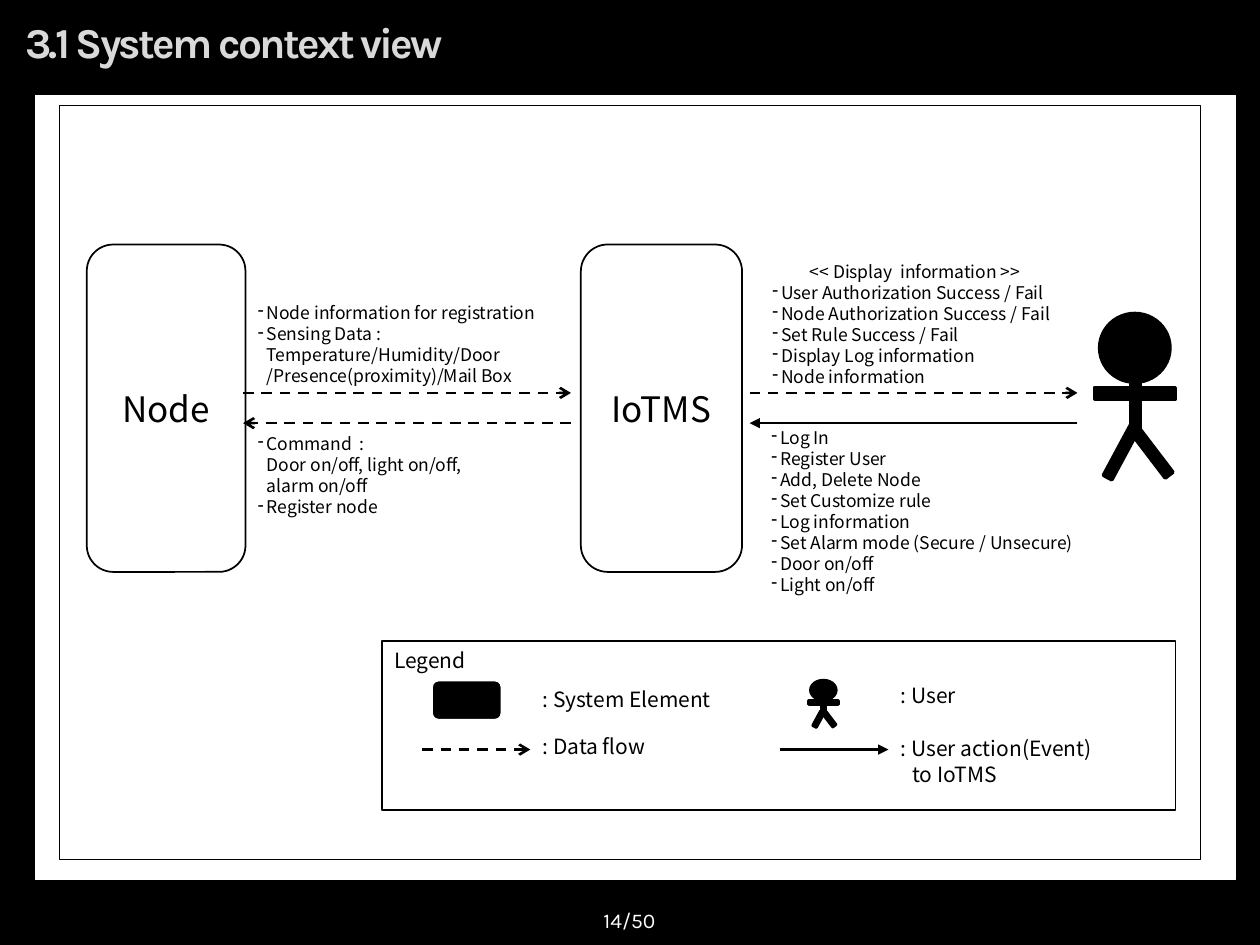
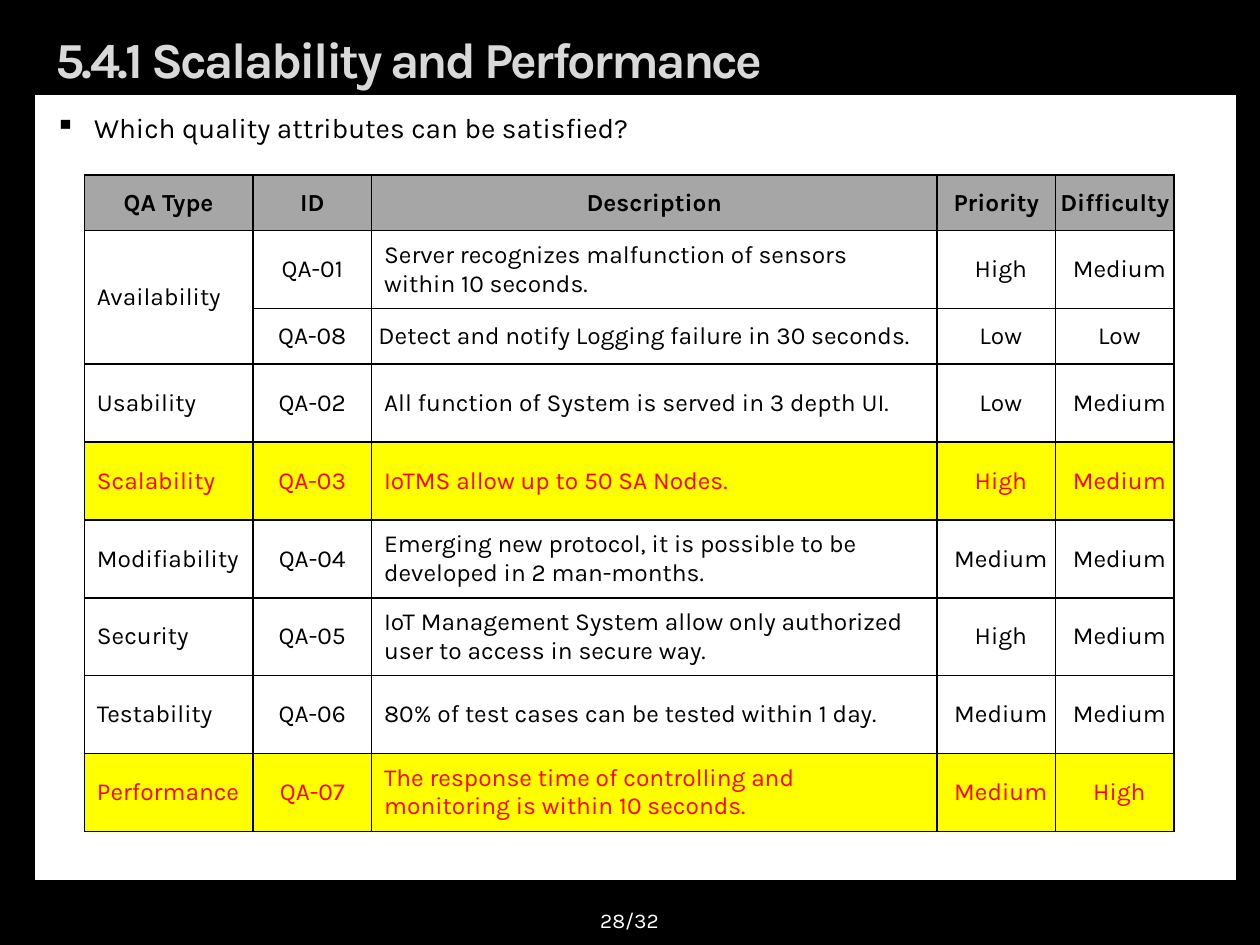
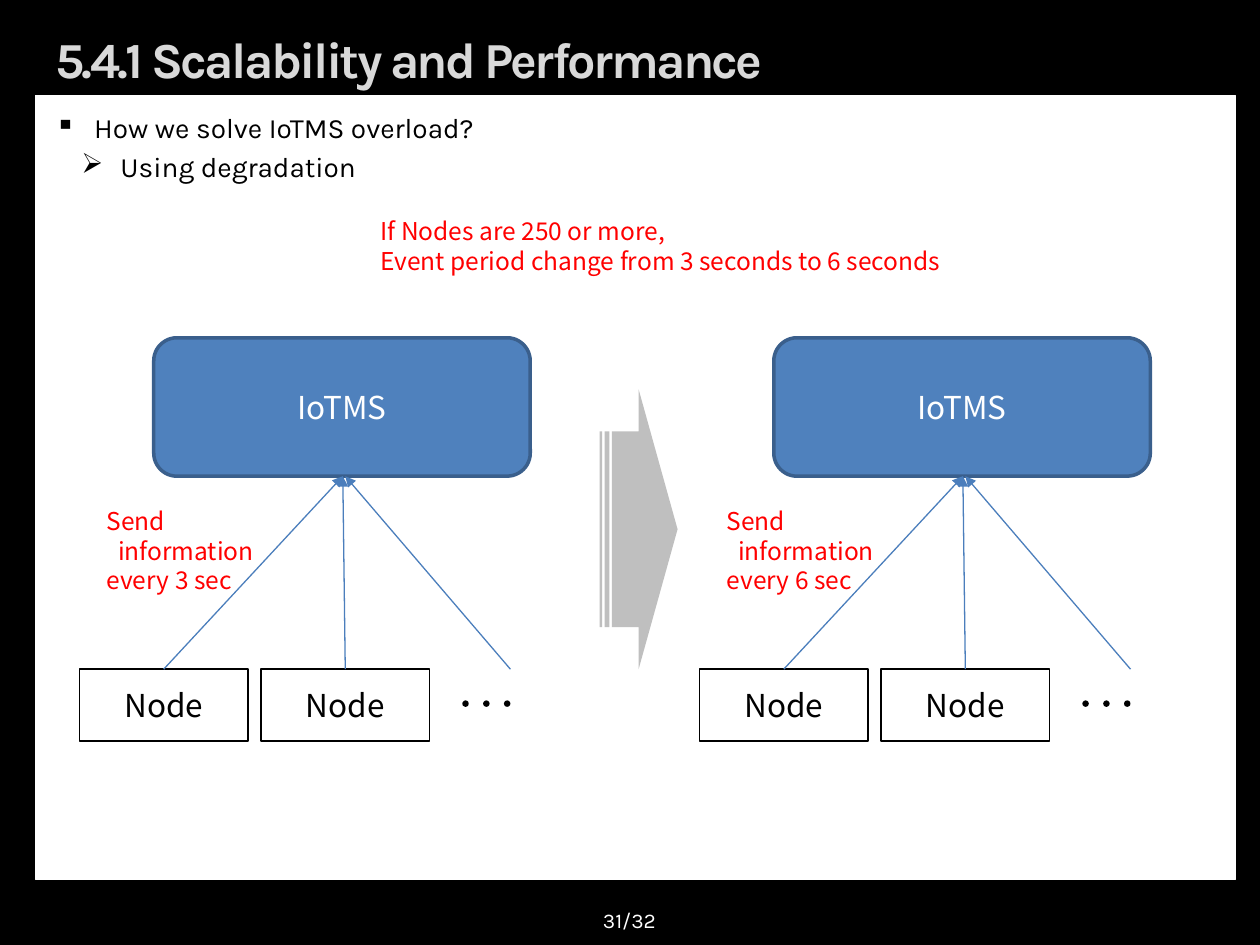
from dataclasses import dataclass

from lxml.etree import SubElement
from pptx import Presentation
from pptx.dml.color import RGBColor
from pptx.enum.dml import MSO_LINE
from pptx.enum.shapes import MSO_CONNECTOR, MSO_SHAPE
from pptx.enum.text import MSO_ANCHOR, MSO_AUTO_SIZE, PP_ALIGN
from pptx.oxml.ns import qn
from pptx.util import Cm, Pt


@dataclass(frozen=True)
class Theme:
    heading_font: str = "Karla"
    diagram_font: str = "Noto Sans CJK KR"
    black: str = "000000"
    white: str = "FFFFFF"
    title: str = "D9D9D9"
    header: str = "A6A6A6"
    highlight: str = "FFFF00"
    alert: str = "FF0000"
    system: str = "4F81BD"
    system_edge: str = "3A5F8C"
    event: str = "4B7EBC"
    change: str = "BFBFBF"
    note_size: float = 10
    legend_size: float = 12
    table_size: float = 14
    body_size: float = 16
    node_size: float = 18
    element_size: float = 20


THEME = Theme()
SCALABILITY_TITLE = "5.4.1 Scalability and Performance"
QUALITY_HEADINGS = ["QA Type", "ID", "Description", "Priority", "Difficulty"]
QUALITY_ROWS = [
    ["Availability", "QA-01", "Server recognizes malfunction of sensors within 10 seconds.", "High", "Medium"],
    ["", "QA-08", "Detect and notify Logging failure in 30 seconds.", "Low", "Low"],
    ["Usability", "QA-02", "All function of System is served in 3 depth UI.", "Low", "Medium"],
    ["Scalability", "QA-03", "IoTMS allow up to 50 SA Nodes.", "High", "Medium"],
    ["Modifiability", "QA-04", "Emerging new protocol, it is possible to be developed in 2 man-months.",
     "Medium", "Medium"],
    ["Security", "QA-05", "IoT Management System allow only authorized user to access in secure way.",
     "High", "Medium"],
    ["Testability", "QA-06", "80% of test cases can be tested within 1 day.", "Medium", "Medium"],
    ["Performance", "QA-07", "The response time of controlling and monitoring is within 10 seconds.",
     "Medium", "High"],
]
HIGHLIGHTED_IDS = {"QA-03", "QA-07"}


def rgb(code):
    return RGBColor.from_string(code)


def place(at):
    return [Cm(length) for length in at]


def style_span(span, size, color, font, bold=False):
    span.font.size = Pt(size)
    span.font.name = font
    span.font.bold = bold
    span.font.color.rgb = rgb(color)


def write(para, text, size, color=THEME.black, font=THEME.diagram_font, bold=False):
    """Add the text run by run, with a line break at each newline."""
    for number, piece in enumerate(text.split("\n")):
        if number:
            para.add_line_break()
        span = para.add_run()
        span.text = piece
        style_span(span, size, color, font, bold)


def hang(para, margin, indent, bullet=None):
    properties = para._p.get_or_add_pPr()
    properties.set("marL", str(Cm(margin)))
    properties.set("indent", str(Cm(indent)))
    if bullet:
        SubElement(properties, qn("a:buChar")).set("char", bullet)


def add_text_box(page, at):
    box = page.shapes.add_textbox(*place(at))
    box.text_frame.word_wrap = True
    return box.text_frame


def next_para(frame, number):
    return frame.add_paragraph() if number else frame.paragraphs[0]


def add_label(page, at, lines, size, color=THEME.black):
    frame = add_text_box(page, at)
    for number, line in enumerate(lines):
        para = next_para(frame, number)
        hang(para, 0.23, -0.23)
        write(para, line, size, color)


def add_dash_list(page, at, items, heading=None):
    frame = add_text_box(page, at)
    if heading:
        frame.paragraphs[0].alignment = PP_ALIGN.CENTER
        write(frame.paragraphs[0], heading, THEME.note_size)
    for number, item in enumerate(items, start=1 if heading else 0):
        para = next_para(frame, number)
        hang(para, 0.18, -0.18, "-")
        write(para, item, THEME.note_size)


def add_body(page, items):
    """Write the outline at the top of the panel, one (level, text) each."""
    frame = add_text_box(page, (0.86, 2.11, 23.65, 2.6))
    for number, (level, text) in enumerate(items):
        para = next_para(frame, number)
        para.level = level
        para.space_before = Pt(3.2)
        hang(para, (0.79, 1.32)[level], -0.79, "▪➢"[level])
        write(para, text, THEME.body_size, font=THEME.heading_font)


def add_block(shapes, kind, at, fill, edge=None, width=1, text=None, size=None, color=THEME.black):
    block = shapes.add_shape(kind, *place(at))
    block.shadow.inherit = False
    block.fill.solid()
    block.fill.fore_color.rgb = rgb(fill)
    if edge:
        block.line.color.rgb = rgb(edge)
        block.line.width = Pt(width)
    else:
        block.line.fill.background()
    if text:
        frame = block.text_frame
        frame.vertical_anchor = MSO_ANCHOR.MIDDLE
        frame.paragraphs[0].alignment = PP_ALIGN.CENTER
        write(frame.paragraphs[0], text, size, color)
    return block


def add_arrow(page, start, end, color=THEME.black, width=1.5, dashed=False):
    arrow = page.shapes.add_connector(MSO_CONNECTOR.STRAIGHT, *place(start + end))
    arrow.line.color.rgb = rgb(color)
    arrow.line.width = Pt(width)
    if dashed:
        arrow.line.dash_style = MSO_LINE.DASH
    tip = SubElement(arrow.line._get_or_add_ln(), qn("a:tailEnd"))
    tip.set("type", "arrow" if dashed else "triangle")
    SubElement(arrow._element.spPr, qn("a:effectLst"))


def add_user(page, left, top, width, height):
    """Draw a stick figure whose parts are fractions of its frame."""
    parts = [
        (MSO_SHAPE.OVAL, 0.06, 0, 0.87, 0.41, 0),
        (MSO_SHAPE.RECTANGLE, 0.44, 0.41, 0.12, 0.29, 0),
        (MSO_SHAPE.RECTANGLE, 0, 0.44, 1, 0.07, 0),
        (MSO_SHAPE.RECTANGLE, 0.27, 0.65, 0.12, 0.35, 28.3),
        (MSO_SHAPE.RECTANGLE, 0.64, 0.65, 0.12, 0.35, 322.7),
    ]
    figure = page.shapes.add_group_shape()
    for kind, x, y, part_width, part_height, turn in parts:
        at = (left + x * width, top + y * height, part_width * width, part_height * height)
        part = add_block(figure.shapes, kind, at, THEME.black, THEME.black, 2)
        part.rotation = turn


def add_page(deck, title, number, title_at=(0.86, 0.53, 23.22, 1.3), title_size=28.8):
    page = deck.slides.add_slide(deck.slide_layouts[5])
    add_block(page.shapes, MSO_SHAPE.RECTANGLE, (0.71, 1.93, 24.2, 15.8), THEME.white, THEME.white, 0.75)

    heading = page.shapes.title
    heading.left, heading.top, heading.width, heading.height = place(title_at)
    frame = heading.text_frame
    frame.auto_size = MSO_AUTO_SIZE.NONE
    frame.vertical_anchor = MSO_ANCHOR.MIDDLE
    para = frame.paragraphs[0]
    para.alignment = PP_ALIGN.LEFT
    write(para, title, title_size, THEME.title, THEME.heading_font, bold=True)
    para.runs[0].font._element.set("spc", "-150")

    frame = add_text_box(page, (9.73, 18.03, 5.92, 1.02))
    frame.vertical_anchor = MSO_ANCHOR.MIDDLE
    frame.paragraphs[0].alignment = PP_ALIGN.CENTER
    write(frame.paragraphs[0], number, THEME.legend_size, THEME.white, THEME.heading_font)
    return page


def add_legend(page):
    add_block(page.shapes, MSO_SHAPE.RECTANGLE, (7.7, 12.93, 16, 3.4), THEME.white, THEME.black)
    add_block(page.shapes, MSO_SHAPE.ROUNDED_RECTANGLE, (8.71, 13.72, 1.4, 0.79), THEME.black, THEME.white)
    add_user(page, 16.31, 13.72, 0.58, 0.94)
    add_arrow(page, (8.51, 15.11), (10.69, 15.11), dashed=True)
    add_arrow(page, (15.72, 15.11), (17.91, 15.11))
    labels = [
        (7.7, 12.93, "Legend"),
        (10.69, 13.72, ": System Element"),
        (10.69, 14.66, ": Data flow"),
        (17.91, 13.64, ": User"),
        (17.91, 14.71, ": User action(Event)\nto IoTMS"),
    ]
    for left, top, text in labels:
        add_label(page, (left, top, 5.2, 0.76), [text], THEME.legend_size)


def add_context_page(deck):
    page = add_page(deck, "3.1 System context view", "14/50", (0.25, 0.25, 24.89, 1.19), 24.3)
    add_block(page.shapes, MSO_SHAPE.RECTANGLE, (1.19, 2.13, 23.01, 15.19), THEME.white, THEME.black, 0.25)
    for left, width, name in [(1.75, 3.2, "Node"), (11.71, 3.25, "IoTMS")]:
        add_block(page.shapes, MSO_SHAPE.ROUNDED_RECTANGLE, (left, 4.93, width, 6.6),
                  THEME.white, THEME.black, 1, name, THEME.element_size)
    add_user(page, 22.07, 6.32, 1.63, 3.38)

    out_y, back_y = 7.92, 8.53
    add_arrow(page, (4.9, out_y), (11.51, out_y), dashed=True)
    add_arrow(page, (11.51, back_y), (4.9, back_y), dashed=True)
    add_arrow(page, (15.11, out_y), (21.72, out_y), dashed=True)
    add_arrow(page, (21.72, back_y), (15.11, back_y))

    add_dash_list(page, (4.95, 5.97, 7.19, 1.96), [
        "Node information for registration",
        "Sensing Data :\nTemperature/Humidity/Door\n/Presence(proximity)/Mail Box",
    ])
    add_dash_list(page, (4.95, 8.61, 6.2, 1.96), [
        "Command  :\nDoor on/off, light on/off,\nalarm on/off",
        "Register node",
    ])
    add_dash_list(page, (15.32, 5.13, 6.25, 2.82), [
        "User Authorization Success / Fail",
        "Node Authorization Success / Fail",
        "Set Rule Success / Fail",
        "Display Log information",
        "Node information",
    ], heading="<< Display  information >>")
    add_dash_list(page, (15.3, 8.48, 6.86, 3.68), [
        "Log In",
        "Register User",
        "Add, Delete Node",
        "Set Customize rule",
        "Log information",
        "Set Alarm mode (Secure / Unsecure)",
        "Door on/off",
        "Light on/off",
    ])
    add_legend(page)


def draw_borders(cell):
    properties = cell._tc.get_or_add_tcPr()
    for side in ("a:lnL", "a:lnR", "a:lnT", "a:lnB"):
        line = SubElement(properties, qn(side), w=str(Pt(1)))
        fill = SubElement(line, qn("a:solidFill"))
        SubElement(fill, qn("a:srgbClr"), val=THEME.black)


def fill_cell(cell, text, column, fill, color=THEME.black, is_header=False):
    draw_borders(cell)
    cell.fill.solid()
    cell.fill.fore_color.rgb = rgb(fill)
    cell.vertical_anchor = MSO_ANCHOR.MIDDLE
    para = cell.text_frame.paragraphs[0]
    is_rating = column >= 3
    if is_header or column not in (0, 2):
        para.alignment = PP_ALIGN.CENTER
    if is_rating:
        cell.margin_left = cell.margin_right = cell.margin_top = cell.margin_bottom = 0
        if not is_header:
            hang(para, 0, 0.18)
            para.space_after = Pt(2)
    if text:
        write(para, text, THEME.table_size, color, THEME.heading_font, is_header)


def add_quality_table(page):
    widths = [3.4, 2.39, 11.4, 2.39, 2.39]
    heights = [1.12, 1.57, 1.12] + [1.57] * 6
    at = (1.7, 3.53, sum(widths), sum(heights))
    table = page.shapes.add_table(len(heights), len(widths), *place(at)).table
    for column, width in zip(table.columns, widths):
        column.width = Cm(width)
    for row, height in zip(table.rows, heights):
        row.height = Cm(height)
    for column, text in enumerate(QUALITY_HEADINGS):
        fill_cell(table.cell(0, column), text, column, THEME.header, is_header=True)
    for row, values in enumerate(QUALITY_ROWS, start=1):
        marked = values[1] in HIGHLIGHTED_IDS
        fill = THEME.highlight if marked else THEME.white
        color = THEME.alert if marked else THEME.black
        for column, text in enumerate(values):
            fill_cell(table.cell(row, column), text, column, fill, color)
    table.cell(1, 0).merge(table.cell(2, 0))
    logging_failure = table.cell(2, 2)
    logging_failure.margin_left, logging_failure.margin_right = Cm(0.14), Cm(0.03)


def add_quality_page(deck):
    page = add_page(deck, SCALABILITY_TITLE, "28/32")
    add_body(page, [(0, "Which quality attributes can be satisfied?")])
    add_quality_table(page)


def add_cluster(page, left, period):
    """Draw nodes that report to one IoTMS at the given period."""
    node_top, system_bottom = 13.49, 9.6
    for offset in (0, 3.66):
        add_block(page.shapes, MSO_SHAPE.RECTANGLE, (left + offset, node_top, 3.4, 1.45),
                  THEME.white, THEME.black, 0.75, "Node", THEME.node_size)
    add_block(page.shapes, MSO_SHAPE.ROUNDED_RECTANGLE, (left + 1.5, 6.81, 7.59, 2.79),
              THEME.system, THEME.system_edge, 2, "IoTMS", THEME.node_size, THEME.white)
    for step in range(3):
        add_block(page.shapes, MSO_SHAPE.OVAL, (left + 7.72 + 0.42 * step, 14.12, 0.13, 0.13), THEME.black)
    for start, end in [(1.7, 5.31), (5.36, 5.31), (8.69, 5.36)]:
        add_arrow(page, (left + start, node_top), (left + end, system_bottom), THEME.event, 0.75)
    add_label(page, (left + 0.3, 10.08, 4.45, 1.45), ["Send\ninformation", f"every {period} sec"],
              THEME.table_size, THEME.alert)


def add_degradation_page(deck):
    page = add_page(deck, SCALABILITY_TITLE, "31/32")
    add_body(page, [(0, "How we solve IoTMS overload?"), (1, "Using degradation")])
    for left, period in [(1.6, 3), (14.1, 6)]:
        add_cluster(page, left, period)
    change = add_block(page.shapes, MSO_SHAPE.STRIPED_RIGHT_ARROW, (12.09, 7.85, 1.57, 5.64), THEME.change)
    change.adjustments[0], change.adjustments[1] = 0.7, 0.5
    add_label(page, (7.42, 4.24, 11.96, 1.45),
              ["If Nodes are 250 or more,", "Event period change from 3 seconds to 6 seconds"],
              THEME.table_size, THEME.alert)


def main():
    deck = Presentation()
    deck.slide_width, deck.slide_height = Cm(25.4), Cm(19.05)
    background = deck.slide_master.background.fill
    background.solid()
    background.fore_color.rgb = rgb(THEME.black)
    add_context_page(deck)
    add_quality_page(deck)
    add_degradation_page(deck)
    deck.save("out.pptx")


if __name__ == "__main__":
    main()
